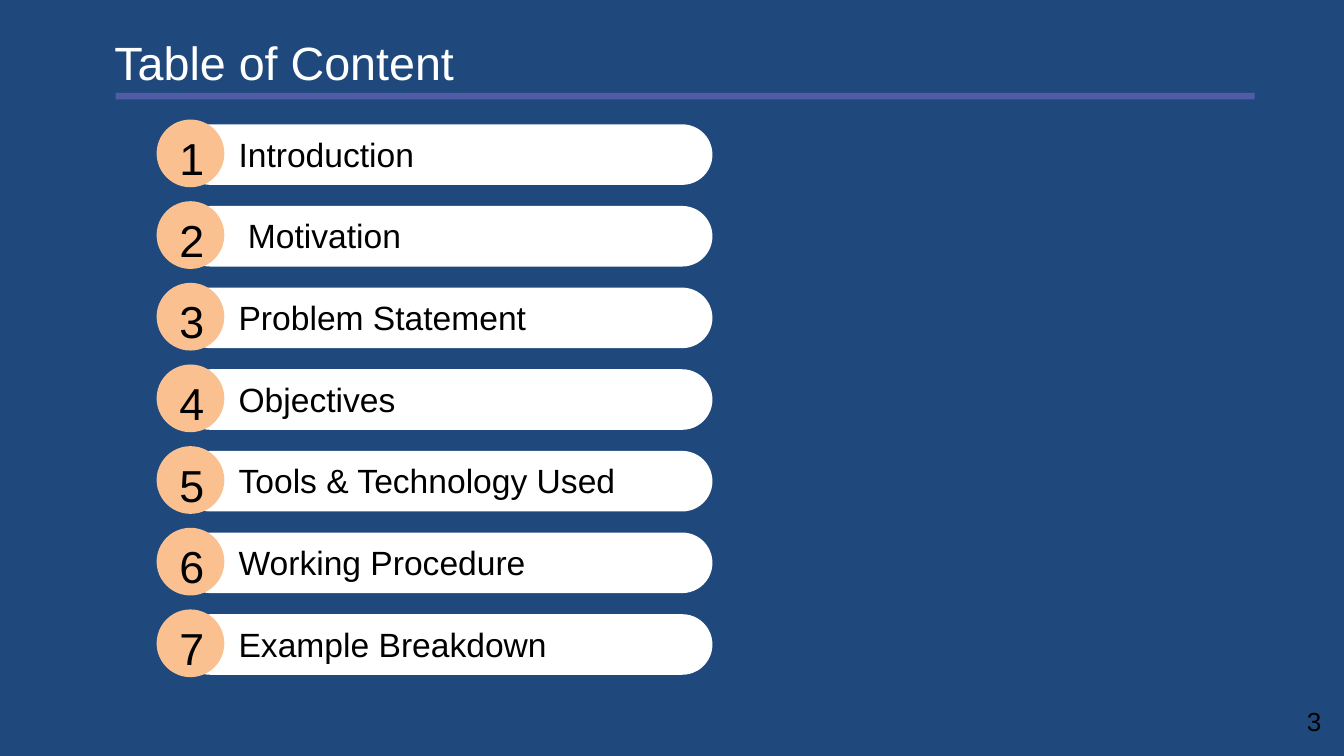
from collections import namedtuple
from dataclasses import dataclass

from pptx import Presentation
from pptx.dml.color import RGBColor
from pptx.enum.shapes import MSO_SHAPE
from pptx.enum.text import MSO_ANCHOR, MSO_AUTO_SIZE, PP_ALIGN
from pptx.util import Cm, Pt

RECTANGLE = MSO_SHAPE.RECTANGLE
ROUNDED = MSO_SHAPE.ROUNDED_RECTANGLE
OVAL = MSO_SHAPE.OVAL
TOP = MSO_ANCHOR.TOP
NO_AUTOFIT = MSO_AUTO_SIZE.NONE
LEFT, CENTER = PP_ALIGN.LEFT, PP_ALIGN.CENTER
TITLE_ONLY = 5

Box = namedtuple("Box", "left top width height")  # centimetres


@dataclass(frozen=True)
class Theme:
    font: str = "Arial"
    background: RGBColor = RGBColor(0x1F, 0x49, 0x7D)
    rule: RGBColor = RGBColor(0x50, 0x5C, 0xA6)
    bar: RGBColor = RGBColor(0xFF, 0xFF, 0xFF)
    badge: RGBColor = RGBColor(0xFA, 0xC0, 0x90)
    title: RGBColor = RGBColor(0xFF, 0xFF, 0xFF)
    text: RGBColor = RGBColor(0, 0, 0)
    title_size: int = 50
    number_size: int = 48
    label_size: int = 36
    page_size: int = 28
    line_spacing: float = 1.2


THEME = Theme()
TOPICS = [
    "Introduction",
    " Motivation",
    "Problem Statement",
    "Objectives",
    "Tools & Technology Used",
    "Working Procedure",
    "Example Breakdown",
]


def in_cm(box):
    return [Cm(length) for length in box]


def write(frame, text, size, color=THEME.text, align=LEFT):
    frame.margin_left = frame.margin_right = 0
    frame.margin_top = frame.margin_bottom = 0
    frame.word_wrap = True
    frame.auto_size = NO_AUTOFIT
    frame.vertical_anchor = TOP
    frame.text = text
    paragraph = frame.paragraphs[0]
    paragraph.alignment = align
    paragraph.line_spacing = Pt(size * THEME.line_spacing)
    font = paragraph.runs[0].font
    font.name = THEME.font
    font.size = Pt(size)
    font.color.rgb = color


def add_text(shapes, box, text, size, align=LEFT):
    write(shapes.add_textbox(*in_cm(box)).text_frame, text, size, align=align)


def add_filled(shapes, preset, box, color):
    shape = shapes.add_shape(preset, *in_cm(box))
    shape.shadow.inherit = False
    shape.fill.solid()
    shape.fill.fore_color.rgb = color
    shape.line.fill.background()
    return shape


def add_header(slide, box, text):
    """Title with a rule along the bottom of the box."""
    title = slide.shapes.title
    title.left, title.top, title.width, title.height = in_cm(
        Box(box.left - 0.05, box.top, 42.16, 2))
    write(title.text_frame, text, THEME.title_size, THEME.title)
    rule_height = 0.25
    rule_top = box.top + box.height - rule_height
    add_filled(slide.shapes, RECTANGLE,
               Box(box.left, rule_top, box.width, rule_height), THEME.rule)


def add_topic(slide, box, number, topic):
    """One row: a rounded bar with its label, and a numbered badge."""
    left, top, width, height = box
    row = slide.shapes.add_group_shape().shapes
    bar = add_filled(row, ROUNDED,
                     Box(left + 0.89, top + 0.18, width - 0.89, 2.29), THEME.bar)
    bar.adjustments[0] = 0.5
    add_filled(row, OVAL, Box(left, top, height, height), THEME.badge)
    add_text(row, Box(left + 0.86, top + 0.43, 1.85, 1.93),
             str(number), THEME.number_size)
    add_text(row, Box(left + 3.1, top + 0.53, 17.15, 1.52),
             topic, THEME.label_size)


def add_topics(slide, box, topics):
    row_height = 2.56
    pitch = (box.height - row_height) / (len(topics) - 1)
    for index, topic in enumerate(topics):
        row_box = Box(box.left, box.top + index * pitch, box.width, row_height)
        add_topic(slide, row_box, index + 1, topic)


def build_contents_slide(presentation):
    slide = presentation.slides.add_slide(presentation.slide_layouts[TITLE_ONLY])
    background = slide.background.fill
    background.solid()
    background.fore_color.rgb = THEME.background
    add_header(slide, Box(4.37, 1.27, 43.05, 2.49), "Table of Content")
    add_text(slide.shapes, Box(47.98, 26.67, 3.38, 1.14),
             "3", THEME.page_size, CENTER)
    add_topics(slide, Box(5.92, 4.52, 21.01, 21.08), TOPICS)


def main():
    presentation = Presentation()
    presentation.slide_width = Cm(50.8)
    presentation.slide_height = Cm(28.58)
    build_contents_slide(presentation)
    presentation.save("out.pptx")


if __name__ == "__main__":
    main()
